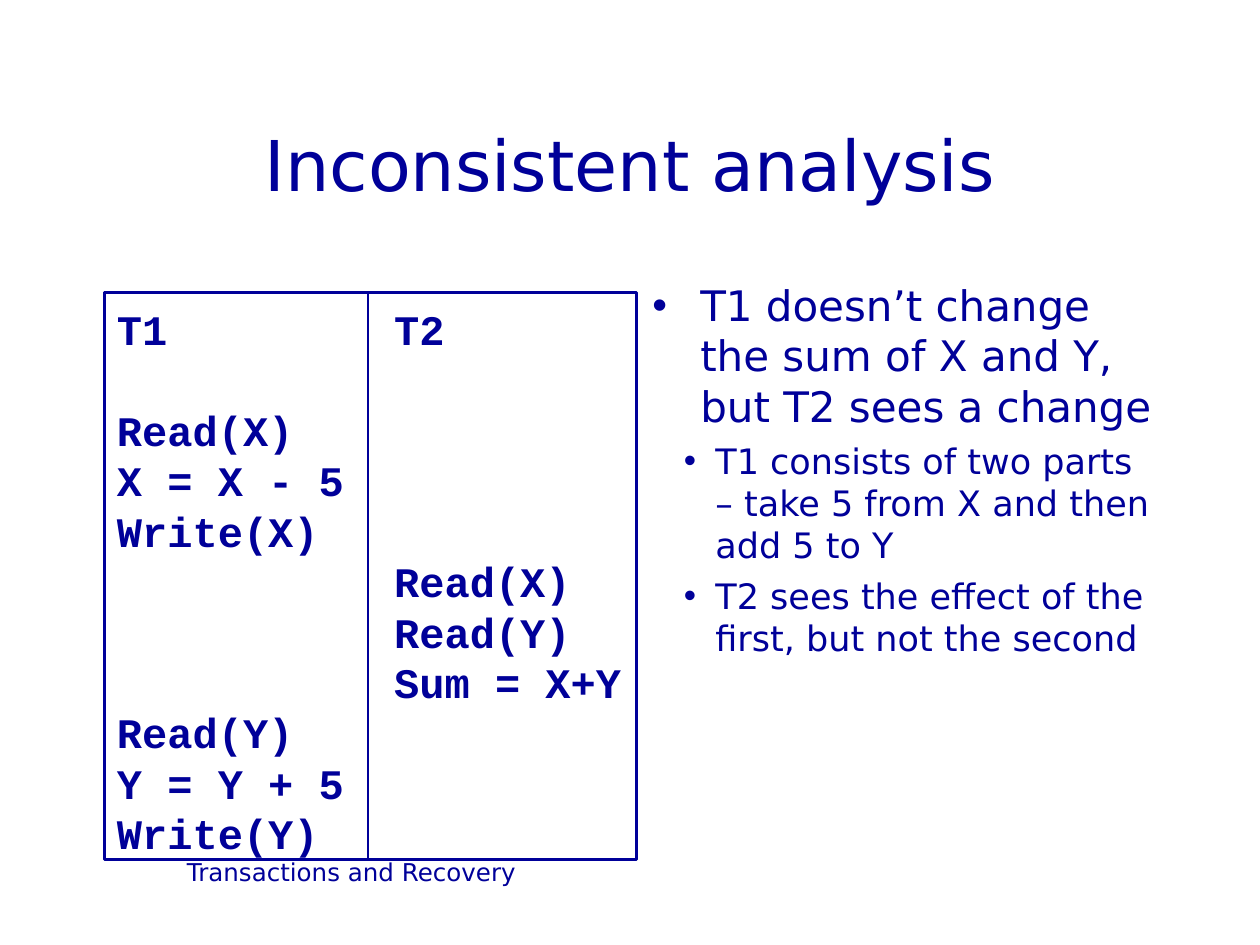
from dataclasses import dataclass

from lxml import etree
from pptx import Presentation
from pptx.dml.color import RGBColor
from pptx.enum.shapes import MSO_CONNECTOR, MSO_SHAPE
from pptx.enum.text import MSO_ANCHOR, PP_ALIGN
from pptx.oxml.ns import qn
from pptx.util import Inches, Pt

CENTER = PP_ALIGN.CENTER
LEFT = PP_ALIGN.LEFT
MIDDLE = MSO_ANCHOR.MIDDLE
TOP = MSO_ANCHOR.TOP
RECTANGLE = MSO_SHAPE.RECTANGLE
STRAIGHT = MSO_CONNECTOR.STRAIGHT


@dataclass(frozen=True)
class Theme:
    ink: RGBColor = RGBColor(0x00, 0x00, 0x99)
    body_font: str = "DejaVu Sans"
    code_font: str = "Courier New"
    title_size: int = 40
    code_size: int = 24
    bullet_sizes: tuple = (24, 20)
    footer_size: int = 14
    line_width: float = 1.5
    leading: float = 1.2


# margin, hanging indent (inches) and space before (points) of each bullet level
BULLET_LEVELS = ((0.38, 0.38, 6), (0.5, 0.25, 5))
BULLETS = (
    (0, "T1 doesn’t change the sum of X and Y, but T2 sees a change"),
    (1, "T1 consists of two parts – take 5 from X and then add 5 to Y"),
    (1, "T2 sees the effect of the first, but not the second"),
)
SCHEDULE_HEADER = "T1\tT2"
SCHEDULE_STEPS = (
    "Read(X)", "X = X - 5", "Write(X)",
    "\tRead(X)", "\tRead(Y)", "\tSum = X+Y",
    "Read(Y)", "Y = Y + 5", "Write(Y)",
)
SECOND_COLUMN = 2.2


class SlideBuilder:
    def __init__(self, slide, theme):
        self.slide = slide
        self.theme = theme

    def style(self, paragraph, size, **formats):
        values = {"name": self.theme.body_font, "size": Pt(size), **formats}
        for name, value in values.items():
            setattr(paragraph.font, name, value)
        paragraph.font.color.rgb = self.theme.ink

    def paragraphs(self, frame, count):
        """Return the given number of paragraphs, the first one included."""
        return [frame.paragraphs[0]] + [frame.add_paragraph() for _ in range(count - 1)]

    def text_box(self, box, anchor=TOP):
        frame = self.slide.shapes.add_textbox(*map(Inches, box)).text_frame
        frame.word_wrap = True
        frame.vertical_anchor = anchor
        return frame

    def label(self, text, box, size, anchor=TOP):
        paragraph = self.text_box(box, anchor).paragraphs[0]
        paragraph.text = text
        paragraph.alignment = CENTER
        self.style(paragraph, size)

    def bullets(self, items, box):
        frame = self.text_box(box)
        for index, (paragraph, (level, text)) in enumerate(
            zip(self.paragraphs(frame, len(items)), items)
        ):
            margin, hanging, space = BULLET_LEVELS[level]
            size = self.theme.bullet_sizes[level]
            paragraph.text = text
            paragraph.level = level
            paragraph.line_spacing = Pt(size * self.theme.leading)
            if index:
                paragraph.space_before = Pt(space)
            properties = paragraph._p.get_or_add_pPr()
            properties.set("marL", str(Inches(margin)))
            properties.set("indent", str(-Inches(hanging)))
            etree.SubElement(properties, qn("a:buFont"), typeface="Arial")
            etree.SubElement(properties, qn("a:buChar"), char="•")
            self.style(paragraph, size)

    def schedule(self, header, steps, box):
        """Draw the framed listing, with one empty line's gap below its header."""
        shape = self.slide.shapes.add_shape(RECTANGLE, *map(Inches, box))
        shape.shadow.inherit = False
        shape.fill.background()
        shape.line.color.rgb = self.theme.ink
        shape.line.width = Pt(self.theme.line_width)
        frame = shape.text_frame
        frame.word_wrap = True
        frame.vertical_anchor = TOP
        frame.margin_top = Inches(0.09)
        lines = (header, *steps)
        leading = Pt(self.theme.code_size * self.theme.leading)
        for index, paragraph in enumerate(self.paragraphs(frame, len(lines))):
            paragraph.text = lines[index]
            paragraph.alignment = LEFT
            paragraph.line_spacing = leading
            if index == 1:
                paragraph.space_before = leading
            tabs = etree.SubElement(paragraph._p.get_or_add_pPr(), qn("a:tabLst"))
            etree.SubElement(tabs, qn("a:tab"), pos=str(Inches(SECOND_COLUMN)), algn="l")
            self.style(paragraph, self.theme.code_size, name=self.theme.code_font, bold=True)

    def line(self, start, end):
        connector = self.slide.shapes.add_connector(STRAIGHT, *map(Inches, (*start, *end)))
        connector.line.color.rgb = self.theme.ink
        connector.line.width = Pt(self.theme.line_width)
        etree.SubElement(connector._element.spPr, qn("a:effectLst"))


def main():
    presentation = Presentation()
    presentation.slide_width = Inches(10)
    presentation.slide_height = Inches(7.5)
    theme = Theme()
    builder = SlideBuilder(presentation.slides.add_slide(presentation.slide_layouts[6]), theme)

    builder.label("Transactions and Recovery", (0.75, 6.75, 4.08, 0.5), theme.footer_size)
    builder.label("Inconsistent analysis", (0.75, 0.67, 8.5, 1.25), theme.title_size, MIDDLE)
    builder.bullets(BULLETS, (5.08, 2.17, 4.17, 4.5))

    left, top, width, height = 0.83, 2.32, 4.22, 4.5
    divider = 2.92
    builder.schedule(SCHEDULE_HEADER, SCHEDULE_STEPS, (left, top, width, height))
    builder.line((divider, top), (divider, top + height))

    presentation.save("out.pptx")


if __name__ == "__main__":
    main()
